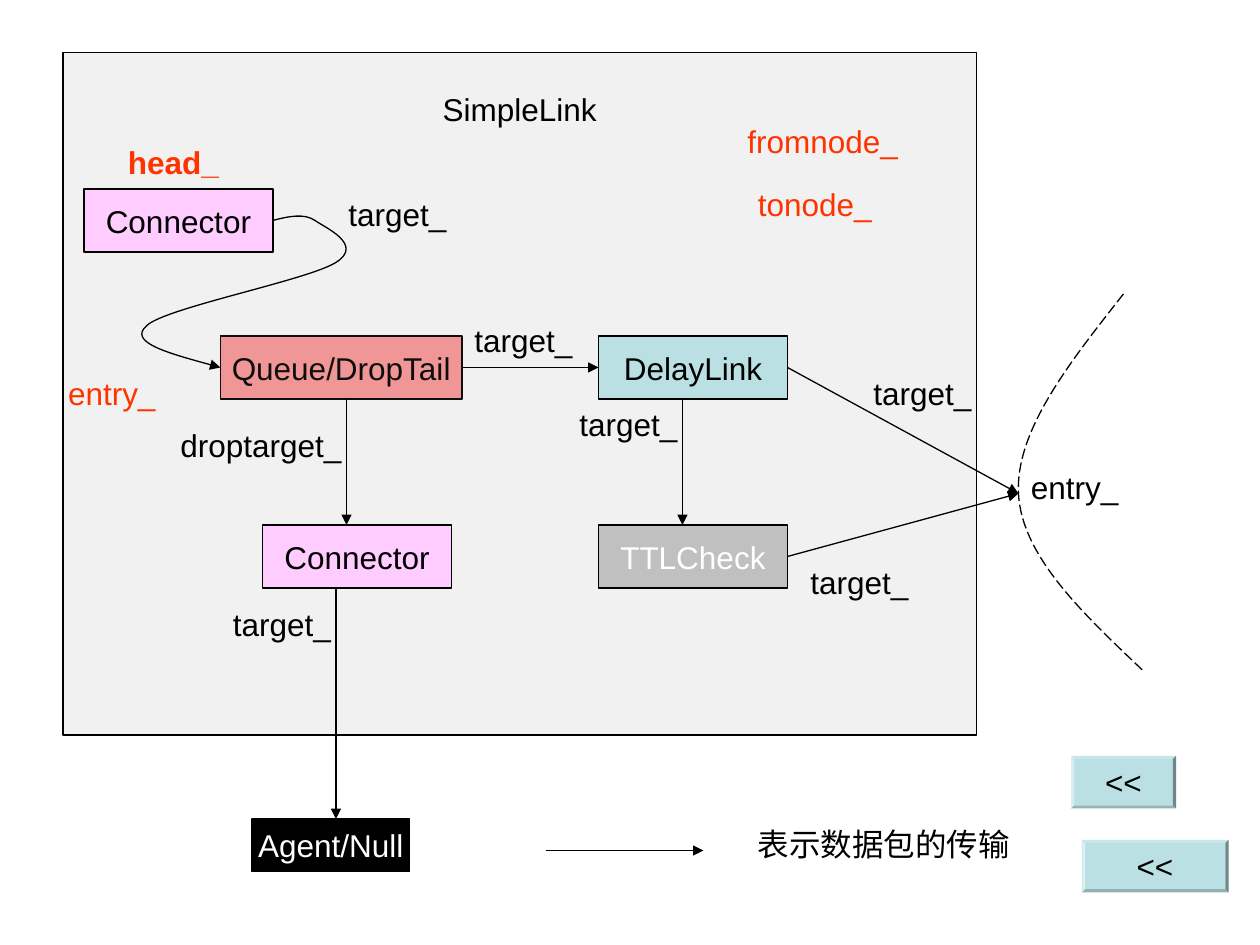
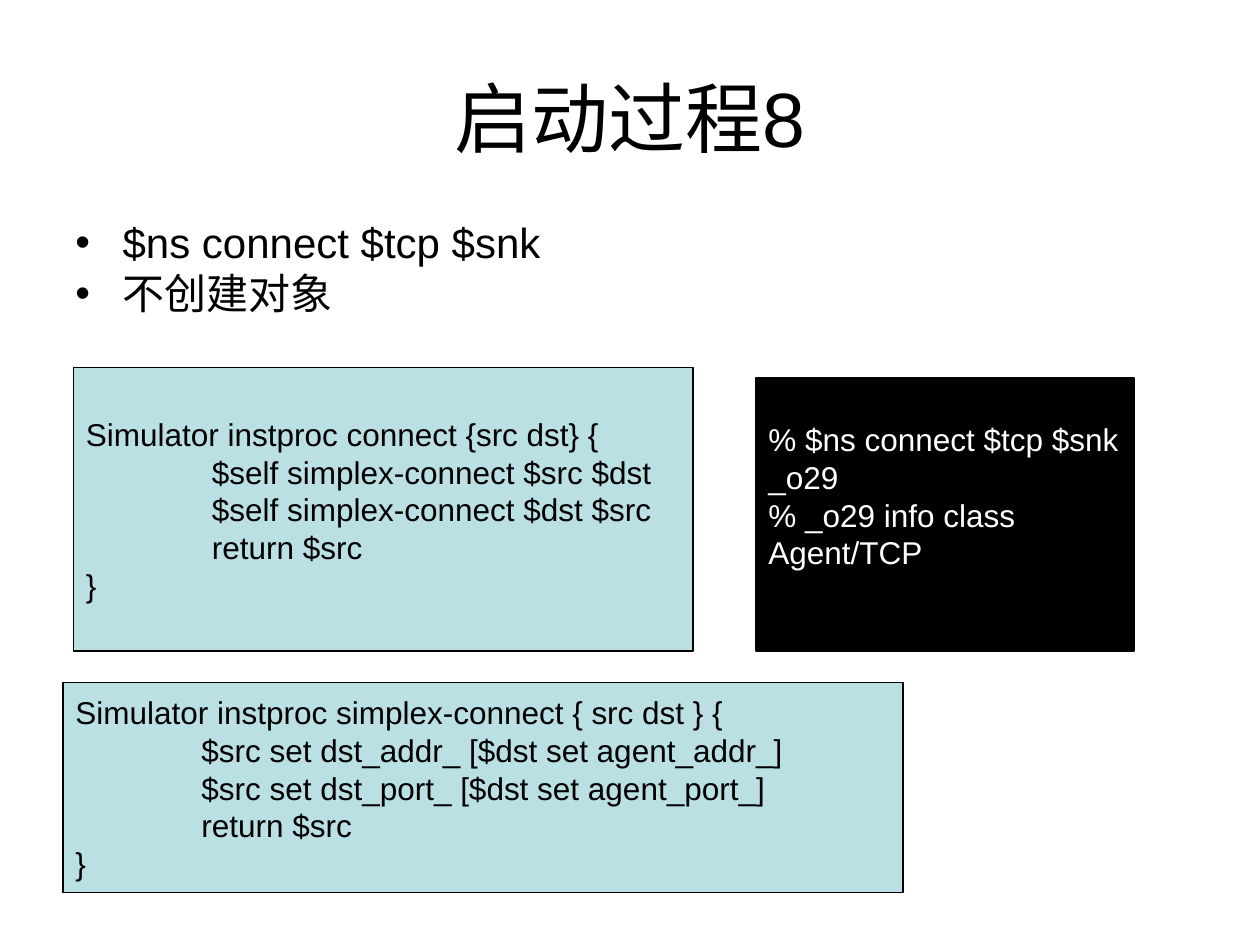
from dataclasses import dataclass

from lxml.etree import SubElement
from pptx import Presentation
from pptx.dml.color import RGBColor
from pptx.enum.dml import MSO_LINE
from pptx.enum.shapes import MSO_CONNECTOR, MSO_SHAPE
from pptx.enum.text import MSO_ANCHOR, PP_ALIGN
from pptx.oxml.ns import qn
from pptx.util import Inches, Pt


@dataclass(frozen=True)
class Theme:
    font: str = "Arial"
    black: str = "000000"
    white: str = "FFFFFF"
    red: str = "FF3300"
    salmon: str = "FF9999"
    teal: str = "BBE0E3"
    pink: str = "FFCCFF"
    grey: str = "C0C0C0"
    panel: str = "808080"
    panel_alpha: int = 11
    title_size: int = 44
    bullet_size: int = 24
    text_size: int = 18
    line_width: float = 0.75


THEME = Theme()
UNIT = 1 / 12  # grid step in inches: the slide is 120 columns by 90 rows
COLUMNS, ROWS = 120, 90
LABEL_HEIGHT = 4.8
BULLET_INDENT = 4.5
CODE_TAB = 12

# ---- Link diagram: (text, (column, row, width, height), fill, text colour)
QUEUE_BOX = ("Queue/DropTail", (21, 32, 23, 6), THEME.salmon, THEME.black)
LINK_PANEL = ("SimpleLink", (6, 5, 87, 65), THEME.panel, THEME.black)
NODE_BOXES = [
    ("DelayLink", (57, 32, 18, 6), THEME.teal, THEME.black),
    ("TTLCheck", (57, 50, 18, 6), THEME.grey, THEME.white),
    ("Connector", (8, 18, 18, 6), THEME.pink, THEME.black),
    ("Connector", (25, 50, 18, 6), THEME.pink, THEME.black),
    ("Agent/Null", (24, 78, 15, 5), THEME.black, THEME.white),
]
BUTTONS = [("<<", (102, 72, 10, 5)), ("<<", (103, 80, 14, 5))]
# (text, column, row, width)
LABELS = [
    ("target_", 76, 53, 13),
    ("target_", 44, 30, 13),
    ("target_", 54, 38, 13),
    ("target_", 32, 18, 13),
    ("target_", 82, 35, 13),
    ("target_", 21, 57, 13),
    ("droptarget_", 16, 40, 20),
    ("entry_", 97, 44, 13),
    ("表示数据包的传输", 71, 78, 29),
]
VARIABLES = [
    ("entry_", 5.3, 35, 12),
    ("fromnode_", 70, 11, 18),
    ("tonode_", 71, 17, 15),
    ("head_", 11, 13, 13),
]
BOLD_VARIABLE = "head_"
ARROWS = [
    ((44, 35), (57, 35)),
    ((65, 38), (65, 50)),
    ((33, 38), (33, 50)),
    ((32, 56), (32, 78)),
    ((75, 35), (97, 47)),
    ((75, 53), (97, 47)),
    ((52, 81), (67, 81)),
]
# Start point, then two control points and an end point per curve
HEAD_TO_QUEUE = [
    (26, 21),
    (27.5, 20.6), (29, 20.3), (30, 21),
    (31, 21.7), (34.7, 23.3), (32, 25),
    (29.3, 26.7), (15.8, 29.3), (14, 31),
    (12.1, 32.6), (16.6, 33.8), (21, 35),
]
NODE_EDGE = [
    (107, 28),
    (101.9, 34.5), (96.7, 41), (97, 47),
    (97.3, 53), (103.2, 58.5), (109, 64),
]

# ---- Start-up step
TITLE = "启动过程8"
BULLETS = ["$ns connect $tcp $snk", "不创建对象"]
CONNECT_CODE = """Simulator instproc connect {src dst} {
\t$self simplex-connect $src $dst
\t$self simplex-connect $dst $src
\treturn $src
}"""
CONSOLE = """% $ns connect $tcp $snk
_o29
% _o29 info class
Agent/TCP"""
SIMPLEX_CODE = """Simulator instproc simplex-connect { src dst } {
\t$src set dst_addr_ [$dst set agent_addr_]
\t$src set dst_port_ [$dst set agent_port_]
\treturn $src
}"""
CODE_BOXES = [
    (CONNECT_CODE, (7, 35, 59, 27), THEME.teal, THEME.black),
    (CONSOLE, (72, 36, 36, 26), THEME.black, THEME.white),
    (SIMPLEX_CODE, (6, 65, 80, 20), THEME.teal, THEME.black),
]


def grid(*values):
    return [Inches(value * UNIT) for value in values]


def rgb(colour):
    return RGBColor.from_string(colour)


def add_bullet(paragraph):
    indent, = grid(BULLET_INDENT)
    properties = paragraph._p.get_or_add_pPr()
    properties.set("marL", str(indent))
    properties.set("indent", str(-indent))
    SubElement(properties, qn("a:buFont"), typeface=THEME.font)
    SubElement(properties, qn("a:buChar"), char="•")


def add_tab_stop(paragraph):
    position, = grid(CODE_TAB)
    stops = SubElement(paragraph._p.get_or_add_pPr(), qn("a:tabLst"))
    SubElement(stops, qn("a:tab"), pos=str(position), algn="l")


def write(shape, lines, size=THEME.text_size, colour=THEME.black, bold=False,
          align=PP_ALIGN.LEFT, anchor=MSO_ANCHOR.TOP, wrap=True, bullets=False):
    frame = shape.text_frame
    frame.word_wrap = wrap
    frame.vertical_anchor = anchor
    for index, line in enumerate(lines):
        paragraph = frame.add_paragraph() if index else frame.paragraphs[0]
        paragraph.text = line
        paragraph.alignment = align
        if bullets:
            paragraph.line_spacing = 0.8
            if index:
                paragraph.space_before = Pt(6)
            add_bullet(paragraph)
        if line.startswith("\t"):
            add_tab_stop(paragraph)
        font = paragraph.font
        font.name, font.size, font.bold = THEME.font, Pt(size), bold
        font.color.rgb = rgb(colour)


def add_text(slide, lines, place, **style):
    write(slide.shapes.add_textbox(*grid(*place)), lines, **style)


def style_line(shape, arrow=False):
    shape.line.color.rgb = rgb(THEME.black)
    shape.line.width = Pt(THEME.line_width)
    if arrow:
        SubElement(shape.line._get_or_add_ln(), qn("a:tailEnd"), type="triangle")


def add_box(slide, text, place, fill, colour, align=PP_ALIGN.CENTER,
            kind=MSO_SHAPE.RECTANGLE):
    box = slide.shapes.add_shape(kind, *grid(*place))
    box.shadow.inherit = False
    box.fill.solid()
    box.fill.fore_color.rgb = rgb(fill)
    style_line(box)
    write(box, text.split("\n"), colour=colour, align=align,
          anchor=MSO_ANCHOR.MIDDLE, wrap=False)
    return box


def add_panel(slide):
    panel = add_box(slide, *LINK_PANEL)
    panel.text_frame.vertical_anchor = MSO_ANCHOR.TOP
    panel.text_frame.margin_top = Inches(0.3)
    tint = panel.element.spPr.find(qn("a:solidFill"))[0]
    SubElement(tint, qn("a:alpha"), val=str(THEME.panel_alpha * 1000))


def add_button(slide, text, place):
    button = add_box(slide, text, place, THEME.teal, THEME.black,
                     kind=MSO_SHAPE.BEVEL)
    button.adjustments[0] = 0.06
    button.line.fill.background()


def add_arrow(slide, start, end):
    arrow = slide.shapes.add_connector(MSO_CONNECTOR.STRAIGHT, *grid(*start, *end))
    style_line(arrow, arrow=True)
    SubElement(arrow.element.spPr, qn("a:effectLst"))


def add_curve(slide, points, arrow=False):
    start, *others = [grid(*point) for point in points]
    builder = slide.shapes.build_freeform(*start)
    builder.add_line_segments(others, close=False)
    curve = builder.convert_to_shape()
    # Turn every three straight segments into one cubic curve
    outline = next(curve.element.iter(qn("a:path")))
    segments = outline.findall(qn("a:lnTo"))
    for first in range(0, len(segments), 3):
        cubic = SubElement(outline, qn("a:cubicBezTo"))
        for segment in segments[first:first + 3]:
            cubic.append(segment[0])
            outline.remove(segment)
    curve.shadow.inherit = False
    curve.fill.background()
    style_line(curve, arrow)
    return curve


def build_diagram(slide):
    # Boxes; the translucent panel lies over the queue
    add_box(slide, *QUEUE_BOX)
    add_panel(slide)
    for node in NODE_BOXES:
        add_box(slide, *node)
    # Arrows and curves
    for start, end in ARROWS:
        add_arrow(slide, start, end)
    add_curve(slide, HEAD_TO_QUEUE, arrow=True)
    add_curve(slide, NODE_EDGE).line.dash_style = MSO_LINE.LONG_DASH
    # Labels
    for labels, colour in ((LABELS, THEME.black), (VARIABLES, THEME.red)):
        for text, column, row, width in labels:
            add_text(slide, [text], (column, row, width, LABEL_HEIGHT),
                     colour=colour, bold=text == BOLD_VARIABLE)
    # Navigation buttons
    for button in BUTTONS:
        add_button(slide, *button)


def build_startup(slide):
    # Title and bullets
    add_text(slide, [TITLE], (6, 3.6, 108, 15), size=THEME.title_size,
             align=PP_ALIGN.CENTER, anchor=MSO_ANCHOR.MIDDLE)
    add_text(slide, BULLETS, (6, 21, 108, 10), size=THEME.bullet_size,
             bullets=True)
    # Code and console
    for text, place, fill, colour in CODE_BOXES:
        box = add_box(slide, text, place, fill, colour, align=PP_ALIGN.LEFT)
        if text == CONSOLE:
            box.text_frame.margin_bottom = Inches(0.35)


def main():
    presentation = Presentation()
    presentation.slide_width, presentation.slide_height = grid(COLUMNS, ROWS)
    blank = presentation.slide_layouts[6]
    for build in (build_diagram, build_startup):
        build(presentation.slides.add_slide(blank))
    presentation.save("out.pptx")


if __name__ == "__main__":
    main()
